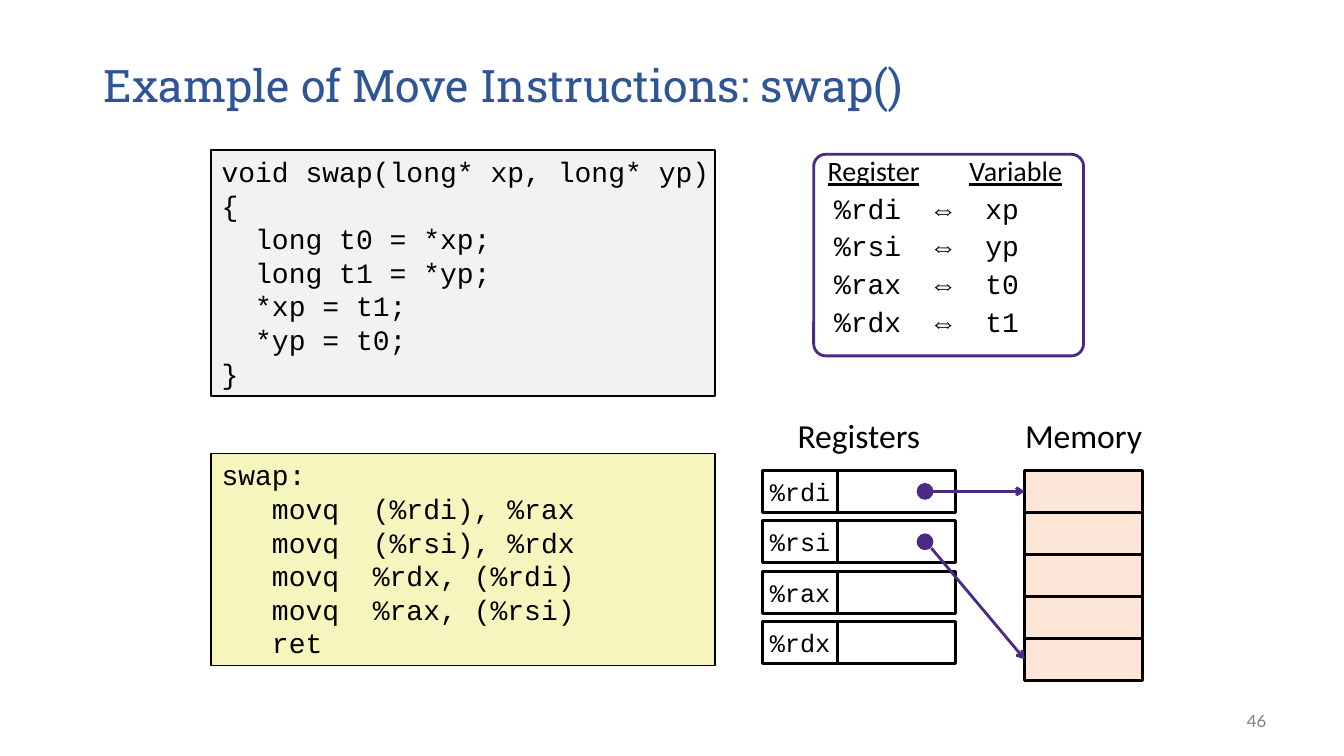
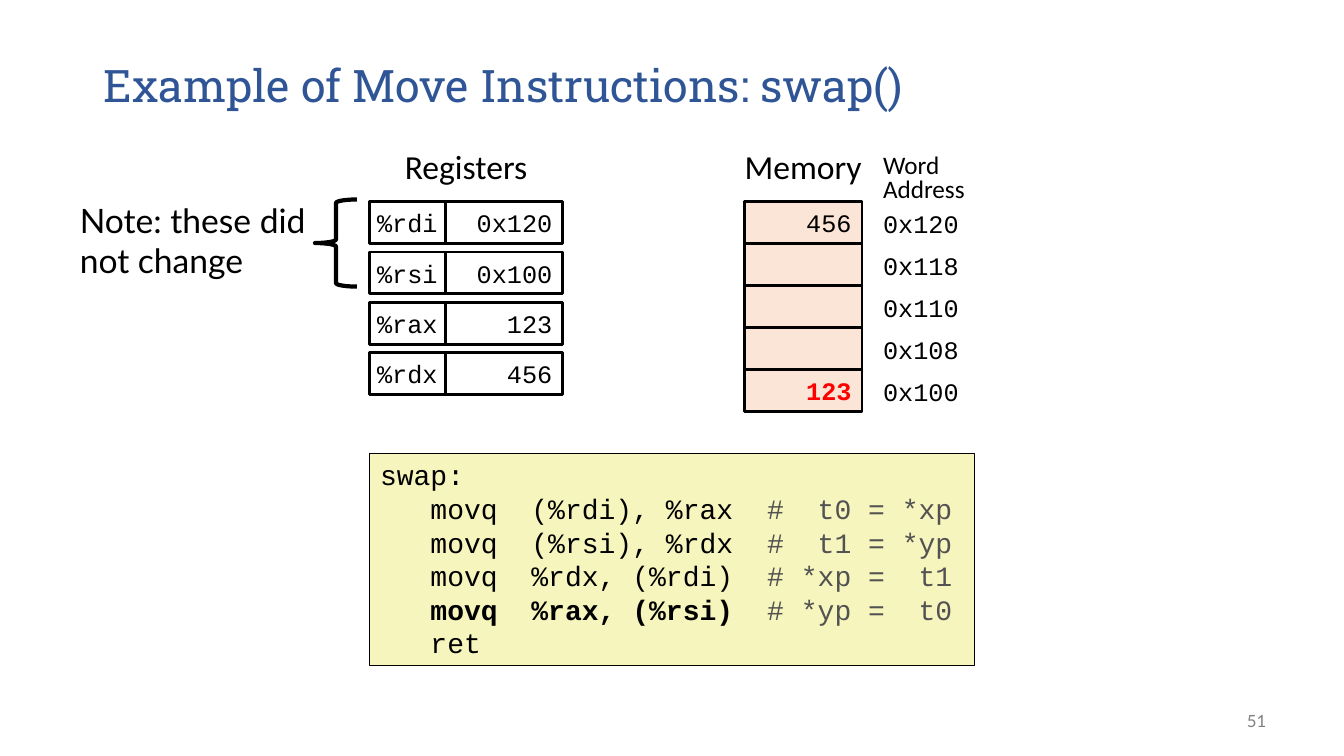
"""Build two slides that trace the swap() example through registers and memory."""
from dataclasses import dataclass, replace
from typing import NamedTuple

from lxml import etree
from pptx import Presentation
from pptx.dml.color import RGBColor
from pptx.enum.shapes import MSO_CONNECTOR, MSO_SHAPE
from pptx.enum.text import MSO_ANCHOR, PP_ALIGN
from pptx.oxml.ns import qn
from pptx.util import Pt

PX = 9525
LEFT, CENTER, RIGHT = PP_ALIGN.LEFT, PP_ALIGN.CENTER, PP_ALIGN.RIGHT
TOP, MIDDLE = MSO_ANCHOR.TOP, MSO_ANCHOR.MIDDLE
RECTANGLE, ROUNDED = MSO_SHAPE.RECTANGLE, MSO_SHAPE.ROUNDED_RECTANGLE
OVAL, LEFT_BRACE = MSO_SHAPE.OVAL, MSO_SHAPE.LEFT_BRACE
STRAIGHT = MSO_CONNECTOR.STRAIGHT


@dataclass(frozen=True)
class TextStyle:
    """Font settings of a paragraph or run."""

    font: str
    size: int
    color: str = "000000"
    bold: bool = False


@dataclass(frozen=True)
class Theme:
    """Colours and type styles shared by the slides."""

    ink: str = "000000"
    white: str = "FFFFFF"
    purple: str = "4B2A85"
    source_fill: str = "F2F2F2"
    assembly_fill: str = "F6F5BD"
    memory_fill: str = "FBE5D6"
    comment: str = "525252"
    title: TextStyle = TextStyle("Roboto Slab", 32, "2F5597")
    number: TextStyle = TextStyle("Lato", 12, "808080")
    note: TextStyle = TextStyle("Lato", 24)
    heading: TextStyle = TextStyle("Calibri", 24)
    key: TextStyle = TextStyle("Calibri", 20)
    label: TextStyle = TextStyle("Calibri", 18)
    code: TextStyle = TextStyle("Courier New", 20)
    cell: TextStyle = TextStyle("Courier New", 18)
    changed: TextStyle = TextStyle("Courier New", 18, "FF0000", True)


THEME = Theme()


class Area(NamedTuple):
    """Position and size in px."""

    left: int
    top: int
    width: int
    height: int

    def emu(self) -> list[int]:
        """Return the four lengths in EMU."""
        return [length * PX for length in self]


class Insets(NamedTuple):
    """Inner margins in px."""

    left: int = 10
    top: int = 5
    right: int = 10
    bottom: int = 5


class CodeLine(NamedTuple):
    """A line of code with an optional trailing comment."""

    code: str
    comment: str = ""
    bold: bool = False


class Register(NamedTuple):
    """A register, the variable it holds and its value."""

    name: str
    variable: str
    value: str


class Word(NamedTuple):
    """A memory word, its address and how its value is set."""

    address: str
    value: str = ""
    style: TextStyle = THEME.cell


ROW_HEIGHT, REGISTER_STEP = 40, 48
NAME_WIDTH, VALUE_WIDTH = 72, 112
HEADING_RISE, HEADING_WIDTH, HEADING_HEIGHT = 58, 140, 48
CODE_INSETS = Insets(10, 4, 4, 4)
ADDRESS_INSETS = Insets(10, 5, 0, 5)
TITLE = "Example of Move Instructions: swap()"
REGISTERS = [
    Register("%rdi", "xp", "0x120"),
    Register("%rsi", "yp", "0x100"),
    Register("%rax", "t0", "123"),
    Register("%rdx", "t1", "456"),
]
WORDS = [
    Word("0x120", "456"),
    Word("0x118"),
    Word("0x110"),
    Word("0x108"),
    Word("0x100", "123", THEME.changed),
]
SOURCE = [
    CodeLine(line)
    for line in (
        "void swap(long* xp, long* yp)",
        "{",
        "  long t0 = *xp;",
        "  long t1 = *yp;",
        "  *xp = t1;",
        "  *yp = t0;",
        "}",
    )
]
ASSEMBLY = [
    CodeLine("swap:"),
    CodeLine("   movq  (%rdi), %rax", "  #  t0 = *xp"),
    CodeLine("   movq  (%rsi), %rdx", "  #  t1 = *yp"),
    CodeLine("   movq  %rdx, (%rdi)", "  # *xp =  t1"),
    CodeLine("   movq  %rax, (%rsi)", "  # *yp =  t0", True),
    CodeLine("   ret"),
]


def set_font(font, style: TextStyle) -> None:
    """Apply a text style to a font."""
    font.name, font.size, font.bold = style.font, Pt(style.size), style.bold
    font.color.rgb = RGBColor.from_string(style.color)


def set_tabs(paragraph, stops: tuple[int, ...]) -> None:
    """Add left tab stops, given in px."""
    tabs = etree.SubElement(paragraph._p.get_or_add_pPr(), qn("a:tabLst"))
    for stop in stops:
        etree.SubElement(tabs, qn("a:tab"), pos=str(stop * PX), algn="l")


def prepare_frame(shape, insets: Insets = Insets(), anchor=TOP, wrap: bool = True):
    """Set wrapping, anchor and margins, and return the text frame."""
    frame = shape.text_frame
    frame.word_wrap, frame.vertical_anchor = wrap, anchor
    frame.margin_left, frame.margin_top, frame.margin_right, frame.margin_bottom = (
        inset * PX for inset in insets
    )
    return frame


def next_paragraph(frame, index: int):
    """Return the first paragraph, or add a further one."""
    return frame.add_paragraph() if index else frame.paragraphs[0]


def write(shape, lines: list[str], style: TextStyle, align=LEFT, anchor=TOP,
          insets: Insets = Insets(), wrap: bool = True, spacing: float = 1.0) -> None:
    """Write lines of one style into a shape."""
    frame = prepare_frame(shape, insets, anchor, wrap)
    for index, line in enumerate(lines):
        paragraph = next_paragraph(frame, index)
        paragraph.text, paragraph.alignment = line, align
        paragraph.line_spacing = spacing
        set_font(paragraph.font, style)


def add_text(slide, area: Area, lines: list[str], style: TextStyle, **layout) -> None:
    """Add a text box."""
    write(slide.shapes.add_textbox(*area.emu()), lines, style, **layout)


def add_figure(slide, kind, area: Area, fill: str | None, line: str | None = THEME.ink,
               weight: int = 2):
    """Add a preset shape with a plain fill and line."""
    shape = slide.shapes.add_shape(kind, *area.emu())
    shape.shadow.inherit = False
    if fill:
        shape.fill.solid()
        shape.fill.fore_color.rgb = RGBColor.from_string(fill)
    else:
        shape.fill.background()
    if line:
        shape.line.color.rgb = RGBColor.from_string(line)
        shape.line.width = Pt(weight)
    else:
        shape.line.fill.background()
    return shape


def add_cell(slide, area: Area, fill: str, text: str, style: TextStyle = THEME.cell,
             align=RIGHT) -> None:
    """Add a framed cell with one value, or an empty one."""
    cell = add_figure(slide, RECTANGLE, area, fill)
    if text:
        write(cell, [text], style, align=align, anchor=MIDDLE, wrap=False)


def add_heading(slide, left: int, top: int, width: int, text: str) -> None:
    """Centre a heading above a block of cells."""
    heading_left = left + (width - HEADING_WIDTH) // 2
    area = Area(heading_left, top - HEADING_RISE, HEADING_WIDTH, HEADING_HEIGHT)
    add_text(slide, area, [text], THEME.heading, align=CENTER, wrap=False)


def add_registers(slide, left: int, top: int, filled: bool) -> None:
    """Draw the register file."""
    add_heading(slide, left, top, NAME_WIDTH + VALUE_WIDTH, "Registers")
    for index, register in enumerate(REGISTERS):
        name = Area(left, top + index * REGISTER_STEP, NAME_WIDTH, ROW_HEIGHT)
        value = name._replace(left=left + NAME_WIDTH, width=VALUE_WIDTH)
        add_cell(slide, name, THEME.white, register.name, align=CENTER)
        add_cell(slide, value, THEME.white, register.value if filled else "")


def add_memory(slide, left: int, top: int, filled: bool) -> None:
    """Draw the memory words, with values and addresses if filled."""
    add_heading(slide, left, top, VALUE_WIDTH, "Memory")
    address_left = left + VALUE_WIDTH + 10
    for index, word in enumerate(WORDS):
        cell = Area(left, top + index * ROW_HEIGHT, VALUE_WIDTH, ROW_HEIGHT)
        add_cell(slide, cell, THEME.memory_fill, word.value if filled else "", word.style)
        if filled:
            add_text(slide, Area(address_left, cell.top + 2, 96, 38), [word.address],
                     THEME.cell, anchor=MIDDLE, insets=ADDRESS_INSETS)
    if filled:
        add_text(slide, Area(address_left, top - 49, 96, 57), ["Word", "Address"],
                 THEME.label, insets=ADDRESS_INSETS, spacing=0.8)


def add_code(slide, area: Area, fill: str, lines: list[CodeLine]) -> None:
    """Draw a code panel."""
    frame = prepare_frame(add_figure(slide, RECTANGLE, area, fill, weight=1), CODE_INSETS)
    for index, line in enumerate(lines):
        paragraph = next_paragraph(frame, index)
        paragraph.alignment = LEFT
        set_font(paragraph.font, replace(THEME.code, bold=line.bold))
        paragraph.add_run().text = line.code
        if line.comment:
            comment = paragraph.add_run()
            comment.text = line.comment
            set_font(comment.font, replace(THEME.code, color=THEME.comment))


def add_variable_key(slide, area: Area) -> None:
    """Draw the rounded panel that pairs registers with variables."""
    panel = add_figure(slide, ROUNDED, area, None, THEME.purple)
    panel.adjustments[0] = 0.06
    frame = prepare_frame(panel)
    rows = [("Register", "\t", "Variable")]
    rows += [(f"\t{item.name}\t⇔\t{item.variable}",) for item in REGISTERS]
    for index, texts in enumerate(rows):
        paragraph = next_paragraph(frame, index)
        paragraph.alignment, paragraph.line_spacing = LEFT, 0.7
        if index:
            paragraph.space_before = Pt(10)
        set_tabs(paragraph, (6, 102, 150) if index else (135,))
        set_font(paragraph.font, THEME.code if index else THEME.key)
        for text in texts:
            run = paragraph.add_run()
            run.text, run.font.underline = text, not index and text != "\t"


def add_pointer(slide, dot_center: tuple[int, int], start: tuple[int, int],
                end: tuple[int, int]) -> None:
    """Draw a dot and an arrow from a register to a memory word."""
    points = [length * PX for length in (*start, *end)]
    arrow = slide.shapes.add_connector(STRAIGHT, *points)
    arrow.line.color.rgb = RGBColor.from_string(THEME.purple)
    arrow.line.width = Pt(2)
    etree.SubElement(arrow.line._get_or_add_ln(), qn("a:tailEnd"), type="arrow")
    etree.SubElement(arrow._element.spPr, qn("a:effectLst"))
    x, y = dot_center
    add_figure(slide, OVAL, Area(x - 8, y - 8, 16, 16), THEME.purple, None)


def add_slide(presentation, number: int):
    """Add a blank slide with the shared title and its number."""
    slide = presentation.slides.add_slide(presentation.slide_layouts[6])
    add_text(slide, Area(86, 21, 1152, 120), [TITLE], THEME.title, anchor=MIDDLE,
             insets=Insets(13, 6, 13, 6))
    add_text(slide, Area(918, 667, 298, 38), [str(number)], THEME.number, align=RIGHT,
             anchor=MIDDLE)
    return slide


def main() -> None:
    """Build both slides and save the presentation."""
    presentation = Presentation()
    presentation.slide_width, presentation.slide_height = 1280 * PX, 720 * PX

    overview = add_slide(presentation, 46)
    add_registers(overview, 726, 448, filled=False)
    add_memory(overview, 976, 448, filled=False)
    add_pointer(overview, (881, 468), (889, 468), (976, 468))
    add_pointer(overview, (881, 516), (887, 522), (976, 628))
    add_variable_key(overview, Area(775, 147, 257, 192))
    add_code(overview, Area(201, 143, 480, 234), THEME.source_fill, SOURCE)
    plain = [CodeLine(line.code) for line in ASSEMBLY]
    add_code(overview, Area(201, 432, 480, 202), THEME.assembly_fill, plain)

    result = add_slide(presentation, 51)
    add_registers(result, 352, 192, filled=True)
    add_memory(result, 709, 192, filled=True)
    add_code(result, Area(352, 432, 576, 202), THEME.assembly_fill, ASSEMBLY)
    add_text(result, Area(66, 185, 246, 87), ["Note: these did not change"], THEME.note)
    add_figure(result, LEFT_BRACE, Area(300, 190, 40, 83), None, weight=3)

    presentation.save("out.pptx")


if __name__ == "__main__":
    main()
